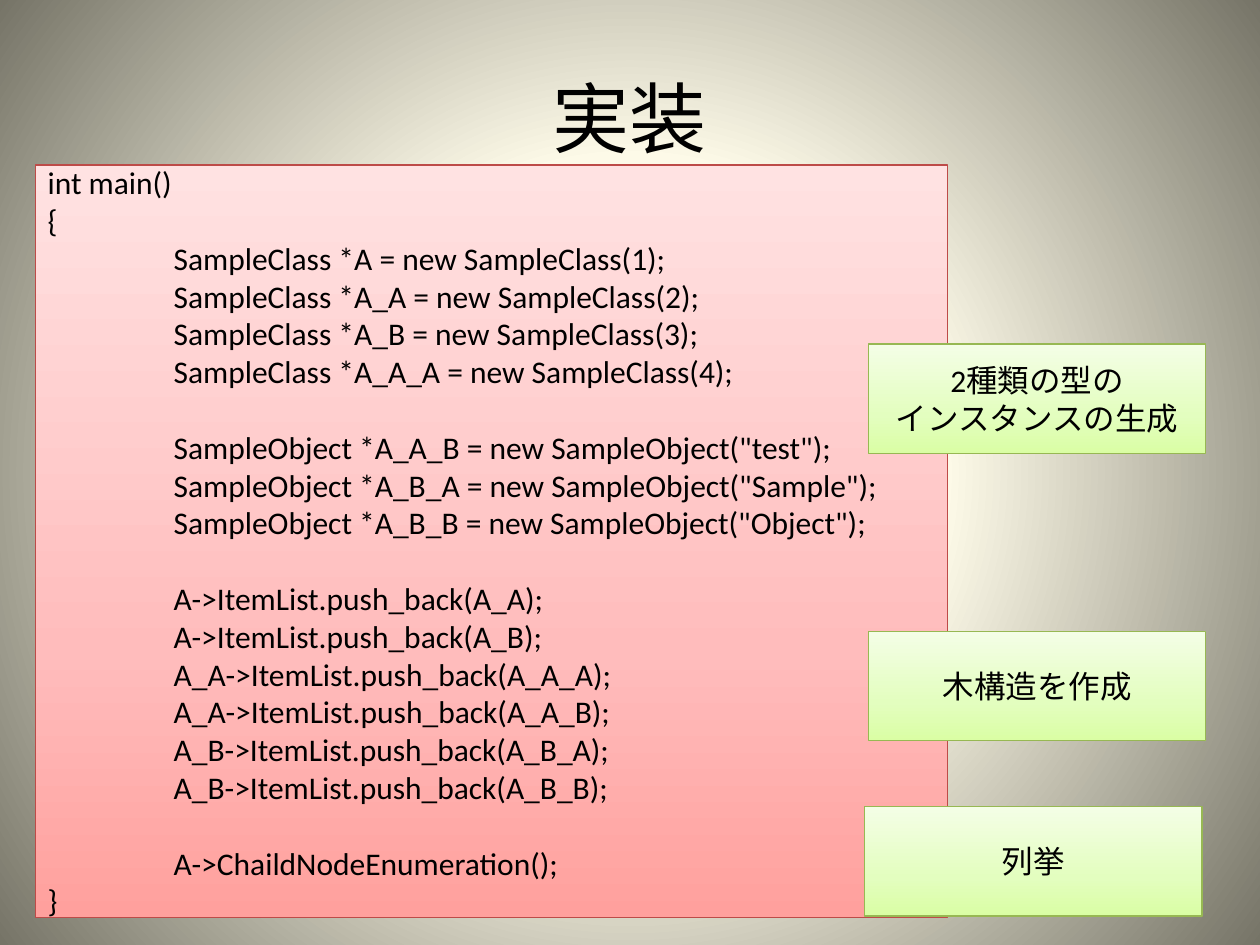
from dataclasses import dataclass

from lxml import etree
from pptx import Presentation
from pptx.dml.color import RGBColor
from pptx.enum import shapes, text
from pptx.oxml.ns import qn
from pptx.util import Inches, Pt


@dataclass(frozen=True)
class Theme:
    font: str = "Calibri"
    ink: str = "000000"
    title_size: int = 44
    body_size: int = 18
    line_width: float = 0.75
    background: tuple = ((0, "FCFCEF"), (40, "FDFAE8"), (100, "767467"))
    code_fill: tuple = ((0, "FFA09D"), (35, "FFBCBC"), (100, "FFE2E2"))
    code_line: str = "BD4B48"
    note_fill: tuple = ((0, "DAFEA4"), (35, "E3FEBF"), (100, "F4FEE6"))
    note_line: str = "97B853"


THEME = Theme()

# Groups of statements in the body of main(), separated by a one-line gap.
STATEMENT_GROUPS = [
    [
        "SampleClass *A = new SampleClass(1);",
        "SampleClass *A_A = new SampleClass(2);",
        "SampleClass *A_B = new SampleClass(3);",
        "SampleClass *A_A_A = new SampleClass(4);",
    ],
    [
        'SampleObject *A_A_B = new SampleObject("test");',
        'SampleObject *A_B_A = new SampleObject("Sample");',
        'SampleObject *A_B_B = new SampleObject("Object");',
    ],
    [
        "A->ItemList.push_back(A_A);",
        "A->ItemList.push_back(A_B);",
        "A_A->ItemList.push_back(A_A_A);",
        "A_A->ItemList.push_back(A_A_B);",
        "A_B->ItemList.push_back(A_B_A);",
        "A_B->ItemList.push_back(A_B_B);",
    ],
    ["A->ChaildNodeEnumeration();"],
]

NOTES = [
    (6.89, 2.73, ["2種類の型の", "インスタンスの生成"]),
    (6.89, 5.01, ["木構造を作成"]),
    (6.86, 6.4, ["列挙"]),
]


def set_gradient(fill, parent, stops, radial=False):
    """Give the fill any number of stops, rising from the bottom or from the centre."""
    fill.gradient()
    gradient = parent.find(".//" + qn("a:gradFill"))
    for child in list(gradient):
        gradient.remove(child)
    stop_list = etree.SubElement(gradient, qn("a:gsLst"))
    for position, color in stops:
        stop = etree.SubElement(stop_list, qn("a:gs"), pos=str(position * 1000))
        etree.SubElement(stop, qn("a:srgbClr"), val=color)
    if radial:
        circle = etree.SubElement(gradient, qn("a:path"), path="circle")
        etree.SubElement(circle, qn("a:fillToRect"), l="50000", t="50000", r="50000", b="50000")
    else:
        etree.SubElement(gradient, qn("a:lin"), ang=str(270 * 60000), scaled="1")


def add_run(paragraph, words, size):
    run = paragraph.add_run()
    run.text = words
    run.font.name = THEME.font
    run.font.size = Pt(size)
    run.font.color.rgb = RGBColor.from_string(THEME.ink)


def add_lines(frame, lines, alignment):
    """Write one paragraph per line and return the paragraphs."""
    paragraphs = []
    for index, line in enumerate(lines):
        paragraph = frame.add_paragraph() if index else frame.paragraphs[0]
        paragraph.alignment = alignment
        add_run(paragraph, line, THEME.body_size)
        paragraphs.append(paragraph)
    return paragraphs


def add_panel(slide, box, stops, line_color):
    panel = slide.shapes.add_shape(shapes.MSO_SHAPE.RECTANGLE, *map(Inches, box))
    panel.shadow.inherit = False
    set_gradient(panel.fill, panel._element.spPr, stops)
    panel.line.color.rgb = RGBColor.from_string(line_color)
    panel.line.width = Pt(THEME.line_width)
    panel.text_frame.word_wrap = True
    panel.text_frame.vertical_anchor = text.MSO_ANCHOR.MIDDLE
    return panel


def add_title(slide, box, words):
    title = slide.shapes.title
    title.left, title.top, title.width, title.height = map(Inches, box)
    title.text_frame.vertical_anchor = text.MSO_ANCHOR.MIDDLE
    paragraph = title.text_frame.paragraphs[0]
    paragraph.alignment = text.PP_ALIGN.CENTER
    add_run(paragraph, words, THEME.title_size)


def add_code(slide, box):
    panel = add_panel(slide, box, THEME.code_fill, THEME.code_line)
    statements = [line for group in STATEMENT_GROUPS for line in group]
    lines = ["int main()", "{", *statements, "}"]
    paragraphs = add_lines(panel.text_frame, lines, text.PP_ALIGN.LEFT)
    body = paragraphs[2:-1]
    for paragraph in body:
        paragraph._p.get_or_add_pPr().set("marL", str(Inches(1)))
    first = 0
    for group in STATEMENT_GROUPS[:-1]:
        first += len(group)
        body[first].space_before = Pt(21.6)


def add_note(slide, box, lines):
    panel = add_panel(slide, box, THEME.note_fill, THEME.note_line)
    add_lines(panel.text_frame, lines, text.PP_ALIGN.CENTER)


def main():
    presentation = Presentation()
    presentation.slide_width, presentation.slide_height = Inches(10), Inches(7.5)
    slide = presentation.slides.add_slide(presentation.slide_layouts.get_by_name("Title Only"))
    set_gradient(slide.background.fill, slide._element, THEME.background, radial=True)
    add_title(slide, (0.5, 0.3, 9, 1.25), "実装")
    add_code(slide, (0.28, 1.31, 7.24, 5.97))
    for left, top, lines in NOTES:
        add_note(slide, (left, top, 2.68, 0.87), lines)
    presentation.save("out.pptx")


if __name__ == "__main__":
    main()
